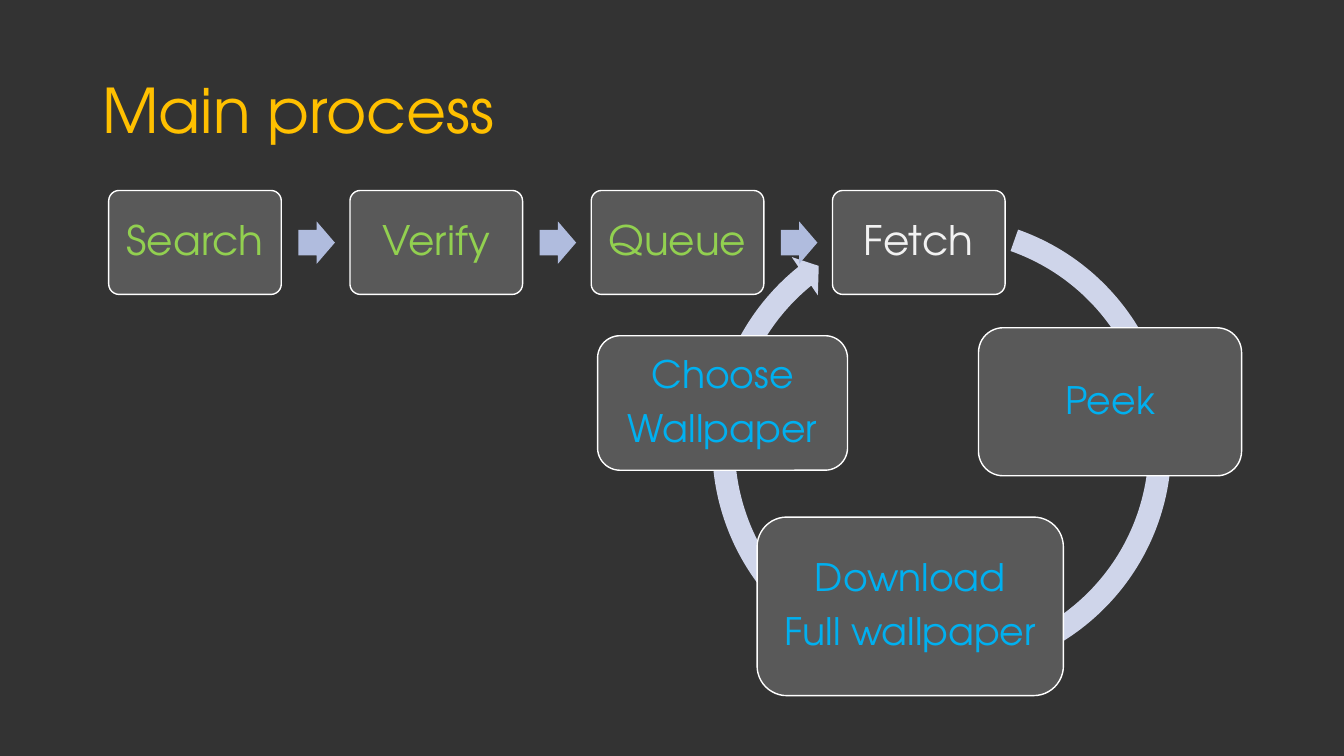
from lxml import etree
from pptx import Presentation
from pptx import util as u
from pptx.dml.color import RGBColor
from pptx.enum import shapes, text
from pptx.oxml.ns import qn

CHARCOAL = RGBColor(0x33, 0x33, 0x33)
GREY = RGBColor(0x59, 0x59, 0x59)
WHITE = RGBColor(0xFF, 0xFF, 0xFF)
OFF_WHITE = RGBColor(0xF2, 0xF2, 0xF2)
AMBER = RGBColor(0xFF, 0xC0, 0x00)
GREEN = RGBColor(0x92, 0xD0, 0x50)
BLUE = RGBColor(0x00, 0xB0, 0xF0)
PERIWINKLE = RGBColor(0xB0, 0xBC, 0xDE)
PALE_BLUE = RGBColor(0xCF, 0xD5, 0xEA)


class ProcessSlide:
    font = "TeX Gyre Adventor"

    def __init__(self, deck):
        self.slide = deck.slides.add_slide(deck.slide_layouts[6])
        fill = self.slide.background.fill
        fill.solid()
        fill.fore_color.rgb = CHARCOAL

    def set_text(self, frame, lines, size, color):
        frame.word_wrap = True
        frame.vertical_anchor = text.MSO_ANCHOR.MIDDLE
        frame.text = "\n".join(lines)
        for paragraph in frame.paragraphs:
            paragraph.line_spacing = 0.9
            paragraph.font.name = self.font
            paragraph.font.size = u.Pt(size)
            paragraph.font.color.rgb = color

    def title(self, wording, left, top, width, height):
        box = self.slide.shapes.add_textbox(*map(u.Cm, (left, top, width, height)))
        self.set_text(box.text_frame, [wording], 44, AMBER)

    def solid(self, kind, place, color, adjustments=()):
        """Add a borderless filled preset shape."""
        shape = self.slide.shapes.add_shape(kind, *map(u.Cm, place))
        shape.shadow.inherit = False
        shape.fill.solid()
        shape.fill.fore_color.rgb = color
        shape.line.fill.background()
        for index, value in enumerate(adjustments):
            shape.adjustments[index] = value
        return shape

    def step(self, lines, place, size, color, inset, rounding):
        box = self.solid(shapes.MSO_SHAPE.ROUNDED_RECTANGLE, place, GREY, [rounding])
        box.line.color.rgb = WHITE
        box.line.width = u.Pt(1)
        frame = box.text_frame
        frame.margin_left = frame.margin_right = u.Cm(inset)
        frame.margin_top = frame.margin_bottom = u.Cm(inset)
        self.set_text(frame, lines, size, color)
        for paragraph in frame.paragraphs:
            paragraph.alignment = text.PP_ALIGN.CENTER
            self.space_after_percent(paragraph, 35)

    def space_after_percent(self, paragraph, percent):
        paragraph.space_after = u.Pt(0)
        spacing = paragraph._p.pPr.find(qn("a:spcAft"))
        spacing.remove(spacing[0])
        etree.SubElement(spacing, qn("a:spcPct")).set("val", str(percent * 1000))


def main():
    deck = Presentation()
    deck.slide_width, deck.slide_height = u.Cm(33.87), u.Cm(19.05)
    page = ProcessSlide(deck)

    page.solid(shapes.MSO_SHAPE.CIRCULAR_ARROW, (17.65, 5.16, 12.17, 12.17),
               PALE_BLUE, (0.047, 2.729, 138.684, 173.649, 0.048))
    cycle = [
        (["Peek"], (24.66, 8.26, 6.63, 3.73)),
        (["Download", "Full wallpaper"], (19.08, 13.03, 7.72, 4.5)),
        (["Choose", "Wallpaper"], (15.06, 8.46, 6.3, 3.39)),
    ]
    for lines, place in cycle:
        page.step(lines, place, 27, BLUE, inset=0.28, rounding=0.1667)

    page.title("Main process", 2.33, 1.01, 29.21, 3.68)

    first_left, pitch = 2.74, 6.08
    stages = [("Search", GREEN), ("Verify", GREEN), ("Queue", GREEN), ("Fetch", OFF_WHITE)]
    for index, (name, color) in enumerate(stages):
        left = first_left + index * pitch
        page.step([name], (left, 4.8, 4.35, 2.62), 29, color, inset=0.3, rounding=0.1)
        if index < len(stages) - 1:
            page.solid(shapes.MSO_SHAPE.RIGHT_ARROW, (left + 4.78, 5.58, 0.92, 1.07),
                       PERIWINKLE, (0.6, 0.5))

    deck.save("out.pptx")


if __name__ == "__main__":
    main()
